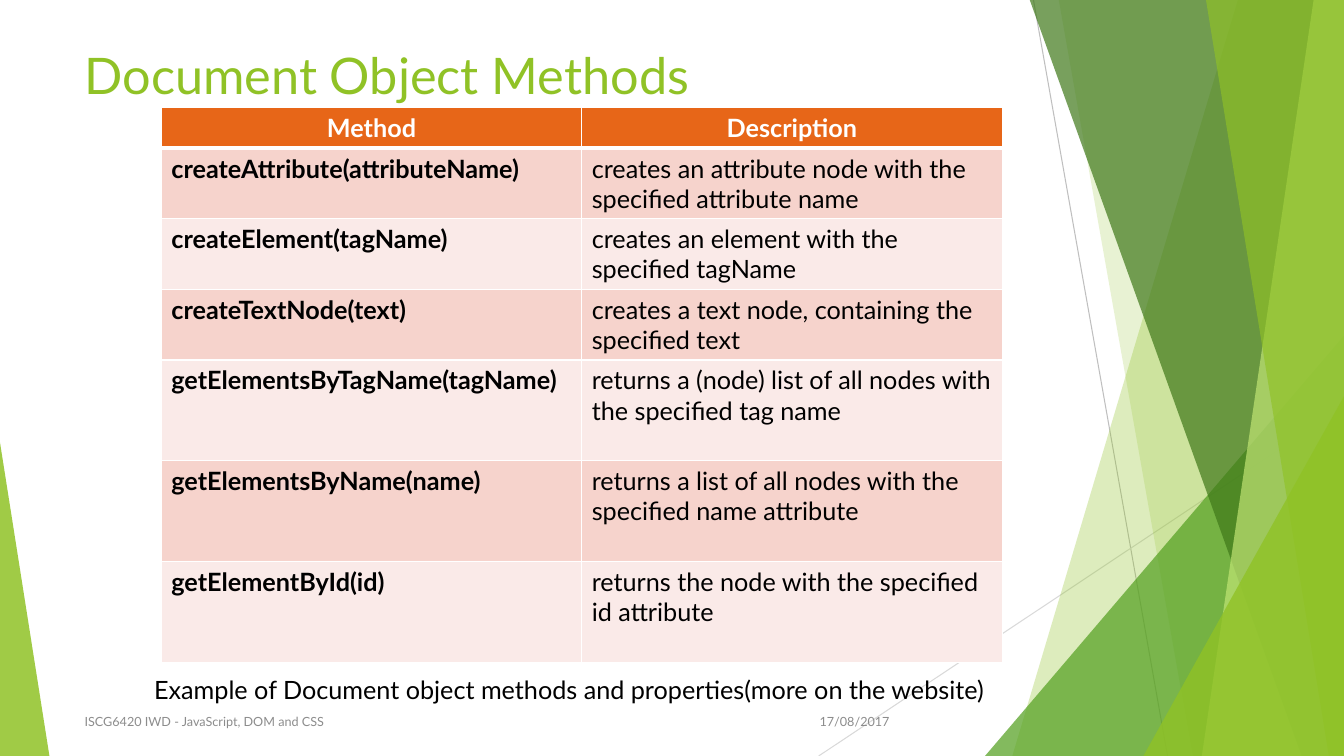
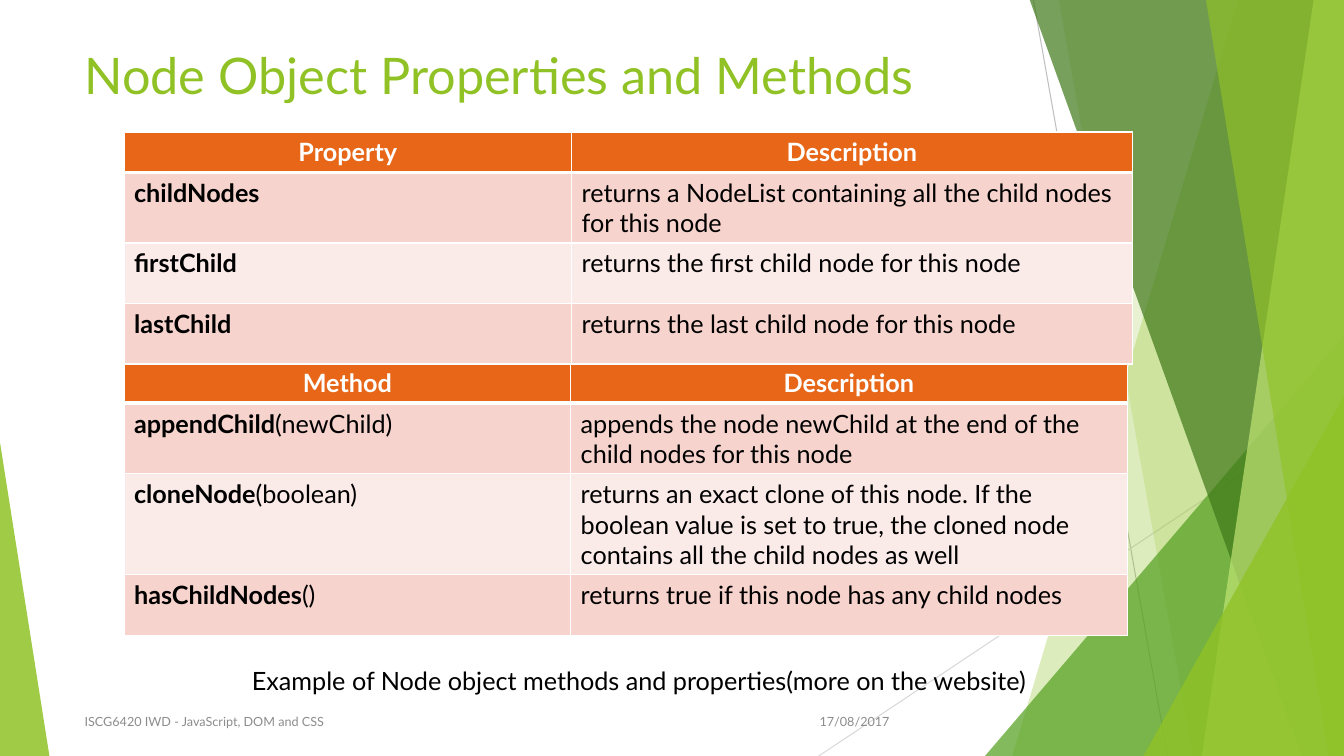
from dataclasses import dataclass

from lxml import etree
from pptx import Presentation
from pptx import util as u
from pptx.dml.color import RGBColor
from pptx.enum import shapes, text
from pptx.oxml import ns


@dataclass(frozen=True)
class Theme:
    font: str = "Lato"
    lime: str = "90C226"
    leaf: str = "54A021"
    forest: str = "3F7819"
    pale: str = "C0E474"
    orange: str = "E76618"
    bands: tuple = ("F6D3CC", "FAEAE8")
    white: str = "FFFFFF"
    black: str = "000000"
    grey: str = "8C8C8C"
    light_line: str = "D9D9D9"
    dark_line: str = "BFBFBF"
    title_size: int = 36
    body_size: int = 18
    footer_size: int = 9


WIDTH, HEIGHT = 13.33, 7.5
BLANK_LAYOUT = 6
FOOTER = "ISCG6420 IWD - JavaScript, DOM and CSS"
DATE = "17/08/2017"


def inches(*values):
    return [u.Inches(value) for value in values]


def add_span(para, content, *, size, color, font=Theme.font, bold=False):
    span = para.add_run()
    span.text = content
    span.font.name = font
    span.font.size = u.Pt(size)
    span.font.bold = bold
    span.font.color.rgb = RGBColor.from_string(color)


class DeckBuilder:
    def __init__(self, theme):
        self.theme = theme
        self.deck = Presentation()
        self.deck.slide_width, self.deck.slide_height = inches(WIDTH, HEIGHT)
        self.page = None

    def add_page(self, title):
        theme = self.theme
        self.page = self.deck.slides.add_slide(self.deck.slide_layouts[BLANK_LAYOUT])
        self.add_backdrop()
        self.add_text(title, (0.74, 0.39, 9.4, 1.11),
                      size=theme.title_size, color=theme.lime)
        footer = dict(size=theme.footer_size, color=theme.grey,
                      anchor=text.MSO_ANCHOR.MIDDLE)
        self.add_text(DATE, (7.92, 6.96, 1, 0.4),
                      align=text.PP_ALIGN.RIGHT, **footer)
        self.add_text(FOOTER, (0.74, 6.96, 6.89, 0.4), **footer)

    def add_backdrop(self):
        theme = self.theme
        self.add_line((10.25, 0), (11.58, HEIGHT), theme.dark_line)
        self.add_line((WIDTH, 4.03), (8.12, HEIGHT), theme.light_line)
        self.add_panel(12.28, 10.04, theme.lime, 30)
        self.add_panel(10.5, 11.83, theme.lime, 20)
        self.add_triangle(9.77, 3.33, 3.56, 1, theme.leaf, 72)
        self.add_panel(10.21, 12.91, theme.forest, 70)
        self.add_panel(13.03, 11.92, theme.pale, 70)
        self.add_panel(11.96, 13.18, theme.lime, 65)
        self.add_triangle(11.34, 3.93, 1.99, 1, theme.lime, 80)
        self.add_triangle(0, 4.39, 0.49, 0, theme.lime, 85)

    def add_line(self, start, end, color):
        line = self.page.shapes.add_connector(
            shapes.MSO_CONNECTOR.STRAIGHT, *inches(*start, *end))
        line.line.color.rgb = RGBColor.from_string(color)
        line.line.width = u.Pt(0.75)
        etree.SubElement(line.element.spPr, ns.qn("a:effectLst"))

    def add_panel(self, top_x, bottom_x, color, opacity):
        builder = self.page.shapes.build_freeform(*inches(top_x, -0.01))
        corners = ((WIDTH, -0.01), (WIDTH, HEIGHT), (bottom_x, HEIGHT))
        builder.add_line_segments([inches(*corner) for corner in corners])
        self.paint(builder.convert_to_shape(), color, opacity)

    def add_triangle(self, left, top, width, apex, color, opacity):
        triangle = self.page.shapes.add_shape(
            shapes.MSO_SHAPE.ISOSCELES_TRIANGLE,
            *inches(left, top, width, HEIGHT - top))
        triangle.adjustments[0] = apex
        self.paint(triangle, color, opacity)

    def paint(self, shape, color, opacity):
        shape.shadow.inherit = False
        shape.line.fill.background()
        shape.fill.solid()
        shape.fill.fore_color.rgb = RGBColor.from_string(color)
        fill_color = shape.element.spPr.find(".//" + ns.qn("a:srgbClr"))
        etree.SubElement(fill_color, ns.qn("a:alpha"), val=str(opacity * 1000))

    def add_text(self, content, place, *, align=text.PP_ALIGN.LEFT,
                 anchor=text.MSO_ANCHOR.TOP, **style):
        box = self.page.shapes.add_textbox(*inches(*place))
        frame = box.text_frame
        frame.word_wrap = True
        frame.vertical_anchor = anchor
        para = frame.paragraphs[0]
        para.alignment = align
        add_span(para, content, **style)

    def add_caption(self, content, place):
        self.add_text(content, place, size=self.theme.body_size,
                      color=self.theme.black)

    def add_table(self, left, top, widths, heights, heading, rows):
        theme = self.theme
        table = self.page.shapes.add_table(
            len(heights), len(widths),
            *inches(left, top, sum(widths), sum(heights))).table
        for column, width in zip(table.columns, widths):
            column.width = u.Inches(width)
        for row, height in zip(table.rows, heights):
            row.height = u.Inches(height)
        for index, label in enumerate((heading, "Description")):
            self.fill_cell(table.cell(0, index), theme.orange, ((label, True),),
                           theme.white, text.PP_ALIGN.CENTER, 3)
        for number, (name, arguments, description) in enumerate(rows, 1):
            band = theme.bands[(number - 1) % 2]
            top_width = 3 if number == 1 else 1
            contents = (((name, True), (arguments, False)), ((description, False),))
            for index, spans in enumerate(contents):
                self.fill_cell(table.cell(number, index), band, spans,
                               theme.black, text.PP_ALIGN.LEFT, 1, top_width)

    def fill_cell(self, cell, fill, spans, color, align, bottom_width, top_width=1):
        properties = cell._tc.get_or_add_tcPr()
        widths = dict(lnL=1, lnR=1, lnT=top_width, lnB=bottom_width)
        for side, width in widths.items():
            border = etree.SubElement(properties, ns.qn("a:" + side),
                                      w=str(u.Pt(width)))
            solid = etree.SubElement(border, ns.qn("a:solidFill"))
            etree.SubElement(solid, ns.qn("a:srgbClr"), val=self.theme.white)
        cell.fill.solid()
        cell.fill.fore_color.rgb = RGBColor.from_string(fill)
        para = cell.text_frame.paragraphs[0]
        para.alignment = align
        for content, bold in spans:
            if content:
                add_span(para, content, size=self.theme.body_size,
                         color=color, bold=bold)


DOCUMENT_METHODS = (
    ("createAttribute(attributeName)", "",
     "creates an attribute node with the specified attribute name"),
    ("createElement(tagName)", "",
     "creates an element with the specified tagName"),
    ("createTextNode(text)", "",
     "creates a text node, containing the specified text"),
    ("getElementsByTagName(tagName)", "",
     "returns a (node) list of all nodes with the specified tag name"),
    ("getElementsByName(name)", "",
     "returns a list of all nodes with the specified name attribute"),
    ("getElementById(id)", "",
     "returns the node with the specified id attribute"),
)
NODE_METHODS = (
    ("appendChild", "(newChild)",
     "appends the node newChild at the end of the child nodes for this node"),
    ("cloneNode", "(boolean)",
     "returns an exact clone of this node. If the boolean value is set to true, "
     "the cloned node contains all the child nodes as well"),
    ("hasChildNodes", "()", "returns true if this node has any child nodes"),
)
NODE_PROPERTIES = (
    ("childNodes", "",
     "returns a NodeList containing all the child nodes for this node"),
    ("firstChild", "", "returns the first child node for this node"),
    ("lastChild", "", "returns the last child node for this node"),
)


def main():
    builder = DeckBuilder(Theme())

    builder.add_page("Document Object Methods")
    builder.add_table(1.6, 1.07, (4.17, 4.17), (0.4, *[0.7] * 3, *[1] * 3),
                      "Method", DOCUMENT_METHODS)
    builder.add_caption(
        "Example of Document object methods and properties(more on the website)",
        (1.43, 6.64, 9.21, 0.4))

    builder.add_page("Node Object Properties and Methods")
    builder.add_table(1.23, 3.6, (4.43, 5.52), (0.4, 0.7, 1, 0.6),
                      "Method", NODE_METHODS)
    builder.add_table(1.23, 1.31, (4.44, 5.56), (0.4, 0.7, 0.6, 0.6),
                      "Property", NODE_PROPERTIES)
    builder.add_caption(
        "Example of Node object methods and properties(more on the website)",
        (2.4, 6.55, 8.03, 0.4))

    builder.deck.save("out.pptx")


if __name__ == "__main__":
    main()
